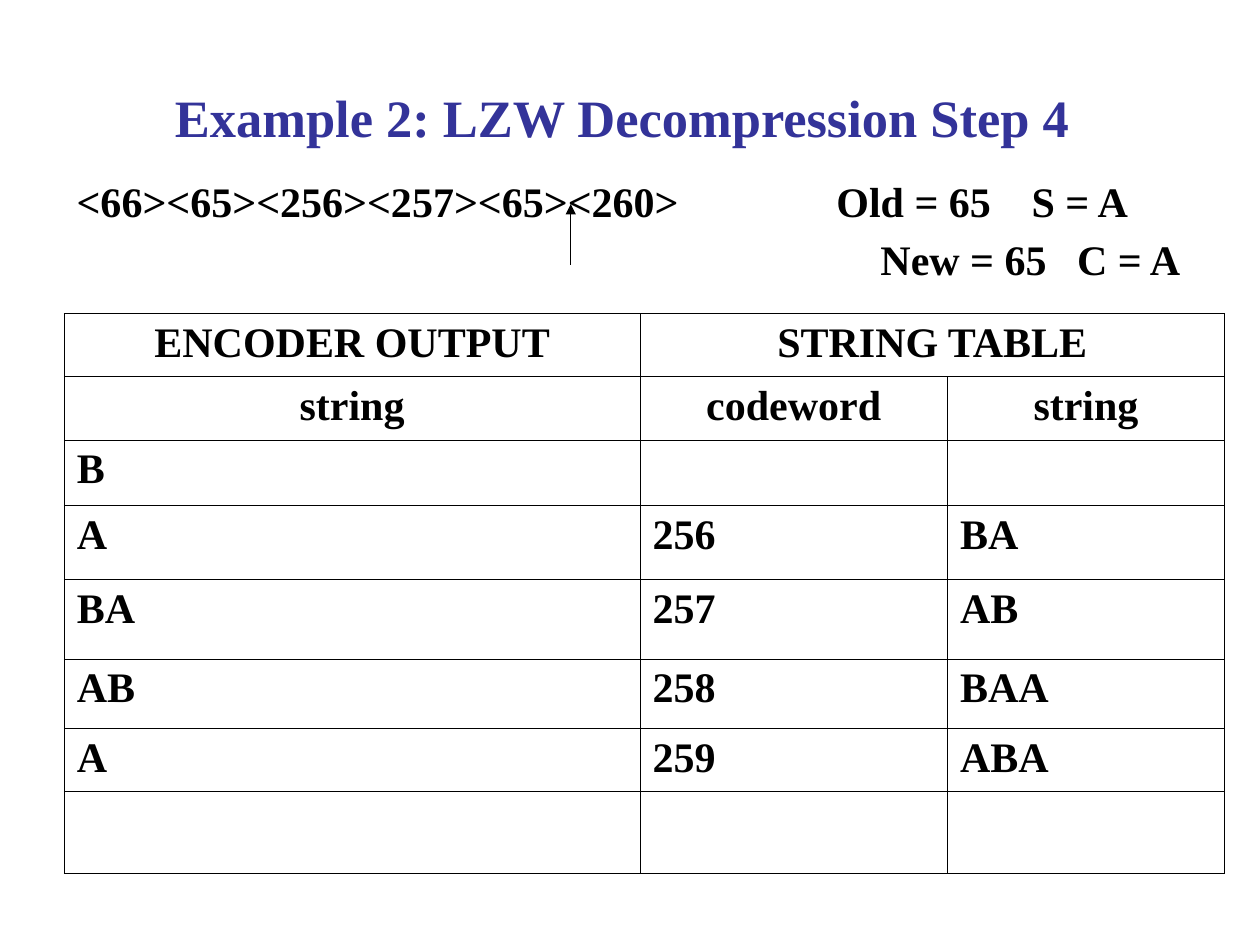
"""Build the slide on step 4 of an LZW decompression example."""
import pptx
import pptx.dml.color
import pptx.enum.shapes
import pptx.enum.text
import pptx.oxml.ns
import pptx.util
from lxml import etree

Inches = pptx.util.Inches
Pt = pptx.util.Pt
ALIGN = pptx.enum.text.PP_ALIGN
ANCHOR = pptx.enum.text.MSO_ANCHOR
FONT = "Times New Roman"
BLACK = "000000"
TITLE_COLOR = "333399"

HEADINGS = [("ENCODER OUTPUT", "STRING TABLE", ""), ("string", "codeword", "string")]
STEPS = [
    ("B", "", ""),
    ("A", "256", "BA"),
    ("BA", "257", "AB"),
    ("AB", "258", "BAA"),
    ("A", "259", "ABA"),
    ("", "", ""),
]
COLUMN_WIDTHS = [4.57, 2.44, 2.2]
ROW_HEIGHTS = [0.5, 0.5, 0.52, 0.59, 0.63, 0.55, 0.5, 0.65]
STATE_LINES = [
    ("<66><65><256><257><65><260>\tOld = 65\tS = A", [6.03, 7.58]),
    ("\tNew = 65\tC = A", [6.38, 7.94]),
]


def rgb(color):
    """Turn a hex string into a colour."""
    return pptx.dml.color.RGBColor.from_string(color)


def add_xml(parent, tag, **attributes):
    """Append a DrawingML element and return it."""
    return etree.SubElement(parent, pptx.oxml.ns.qn("a:" + tag), attributes)


def add_text(paragraph, text, size=24, color=BLACK, align=ALIGN.LEFT):
    """Add one bold run to an aligned paragraph."""
    paragraph.alignment = align
    run = paragraph.add_run()
    run.text = text
    run.font.name = FONT
    run.font.size = Pt(size)
    run.font.bold = True
    run.font.color.rgb = rgb(color)


def set_title(slide, text):
    """Place and fill the title."""
    title = slide.shapes.title
    title.left, title.top = Inches(0.44), Inches(0.3)
    title.width, title.height = Inches(9), Inches(1.25)
    title.text_frame.vertical_anchor = ANCHOR.MIDDLE
    add_text(title.text_frame.paragraphs[0], text, 30, TITLE_COLOR, ALIGN.CENTER)


def add_decoder_state(slide):
    """Add the code stream and the decoder variables, set on tab stops."""
    state = slide.shapes.add_textbox(Inches(0.51), Inches(1.39), Inches(9), Inches(1.05))
    frame = state.text_frame
    frame.word_wrap = True
    for index, (text, stops) in enumerate(STATE_LINES):
        paragraph = frame.add_paragraph() if index else frame.paragraphs[0]
        tab_list = add_xml(paragraph._p.get_or_add_pPr(), "tabLst")
        for stop in stops:
            add_xml(tab_list, "tab", pos=str(Inches(stop)), algn="l")
        paragraph.line_spacing = 0.9
        if index:
            paragraph.space_before = Pt(7)
        add_text(paragraph, text)


def add_borders(cell):
    """Draw a thin black line on each side of a cell."""
    properties = cell._tc.get_or_add_tcPr()
    for side in ("lnL", "lnR", "lnT", "lnB"):
        border = add_xml(properties, side, w=str(Pt(0.45)))
        add_xml(add_xml(border, "solidFill"), "srgbClr", val=BLACK)


def add_string_table(slide):
    """Add the table of decoded strings and codewords."""
    rows = HEADINGS + STEPS
    table = slide.shapes.add_table(
        len(rows), len(COLUMN_WIDTHS), Inches(0.51), Inches(2.49),
        Inches(sum(COLUMN_WIDTHS)), Inches(sum(ROW_HEIGHTS))).table
    table.first_row = table.horz_banding = False
    for column, width in zip(table.columns, COLUMN_WIDTHS):
        column.width = Inches(width)
    for row, height in zip(table.rows, ROW_HEIGHTS):
        row.height = Inches(height)
    table.cell(0, 1).merge(table.cell(0, 2))
    for row_index, texts in enumerate(rows):
        align = ALIGN.CENTER if row_index < len(HEADINGS) else ALIGN.LEFT
        for column_index, text in enumerate(texts):
            cell = table.cell(row_index, column_index)
            add_borders(cell)
            cell.fill.background()
            if text:
                add_text(cell.text_frame.paragraphs[0], text, align=align)


def add_position_arrow(slide):
    """Point an arrow up at the code being read."""
    arrow = slide.shapes.add_connector(
        pptx.enum.shapes.MSO_CONNECTOR.STRAIGHT,
        Inches(4.53), Inches(2.1), Inches(4.53), Inches(1.62))
    arrow.line.color.rgb = rgb(BLACK)
    arrow.line.width = Pt(0.75)
    add_xml(arrow.line._get_or_add_ln(), "tailEnd", type="triangle")
    add_xml(arrow._element.spPr, "effectLst")


def main():
    """Build and save the slide."""
    deck = pptx.Presentation()
    deck.slide_width, deck.slide_height = Inches(10), Inches(7.5)
    slide = deck.slides.add_slide(deck.slide_layouts[5])
    set_title(slide, "Example 2: LZW Decompression Step 4")
    add_decoder_state(slide)
    add_string_table(slide)
    add_position_arrow(slide)
    deck.save("out.pptx")


if __name__ == "__main__":
    main()
